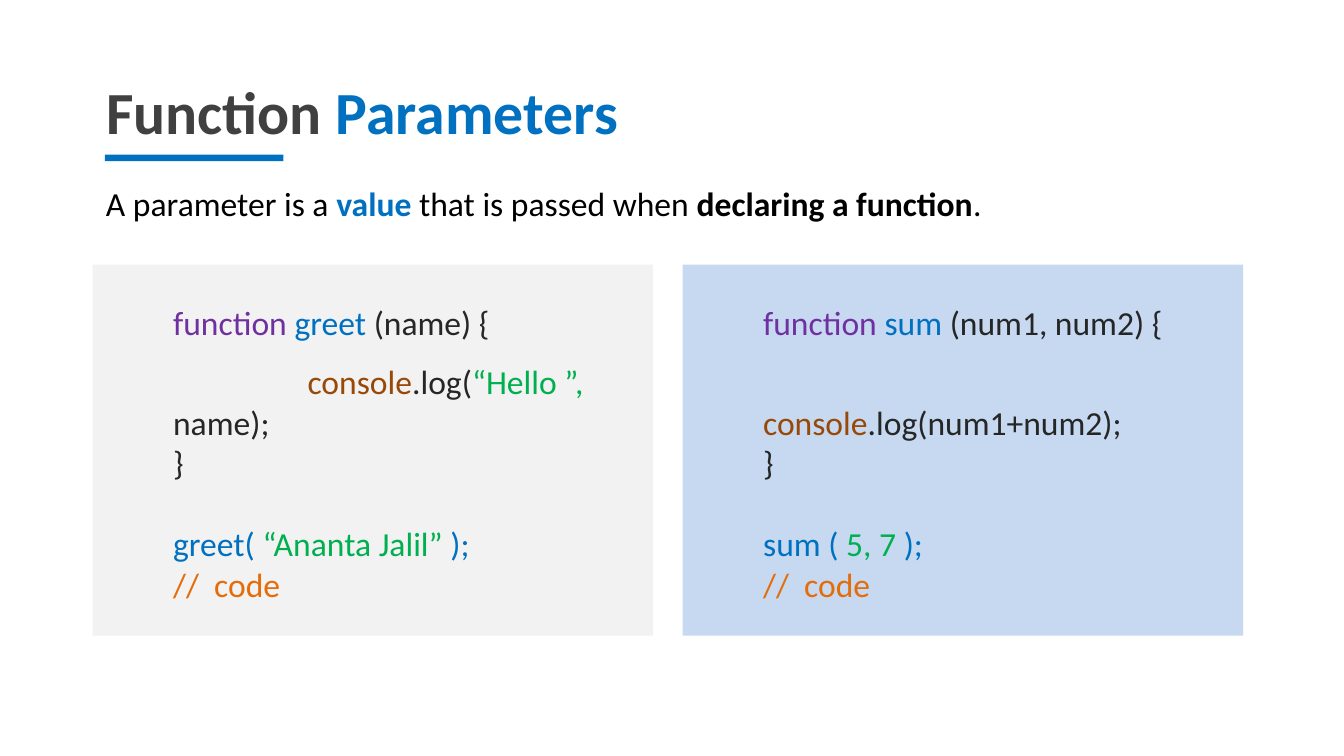
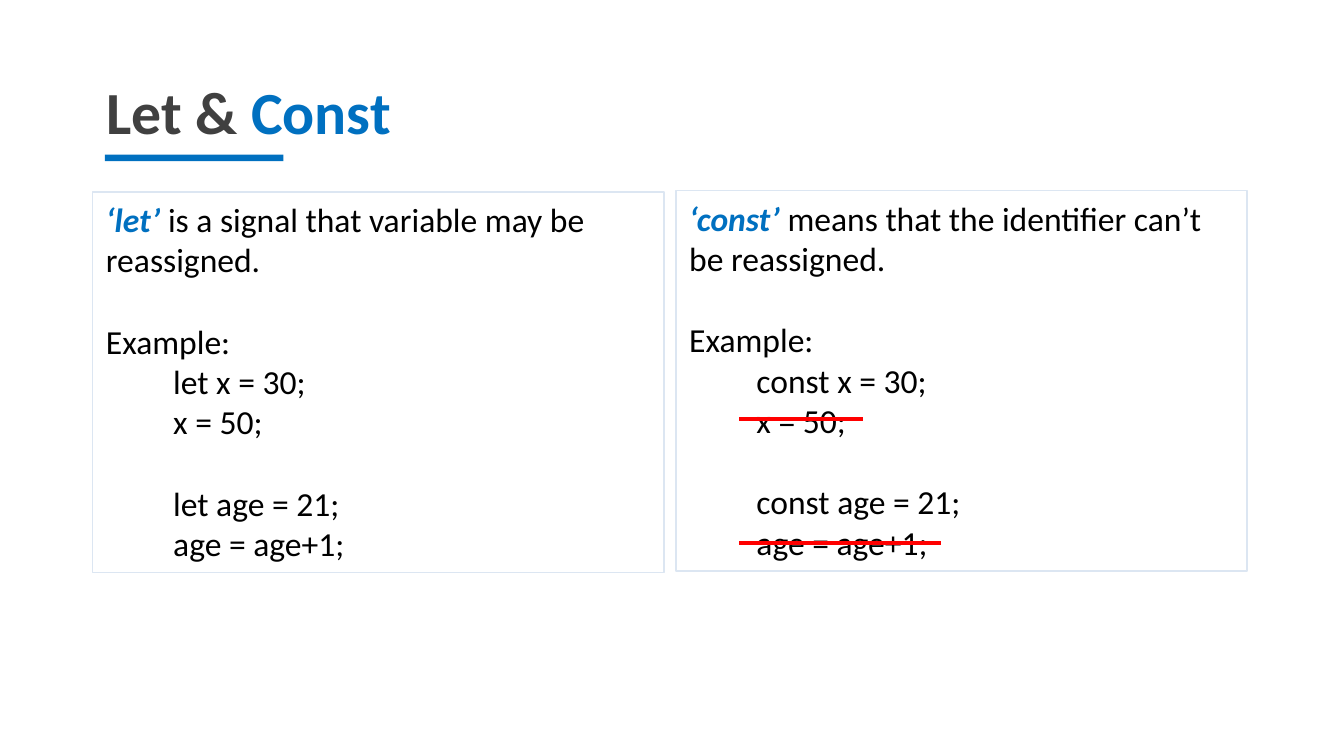
"""Build two slides on JavaScript function parameters and on let and const."""
from dataclasses import dataclass

from lxml.etree import SubElement
from pptx import Presentation
from pptx.dml.color import RGBColor
from pptx.enum.shapes import MSO_CONNECTOR as Connector, MSO_SHAPE as ShapeType
from pptx.enum.text import MSO_ANCHOR as Anchor, MSO_AUTO_SIZE as AutoSize, PP_ALIGN as Align
from pptx.oxml.ns import qn
from pptx.shapes.base import BaseShape
from pptx.slide import Slide
from pptx.text.text import TextFrame
from pptx.util import Inches, Pt


@dataclass(frozen=True)
class Theme:
    font: str = "Calibri"
    title_size: int = 32
    body_size: int = 18
    heading: str = "404040"
    accent: str = "0070C0"
    text: str = "000000"
    code: str = "262626"
    keyword: str = "7030A0"
    console: str = "984807"
    literal: str = "00B050"
    comment: str = "E46C0A"
    grey_panel: str = "F2F2F2"
    blue_panel: str = "C6D9F1"
    outline: str = "DCE6F2"
    strike: str = "FF0000"


THEME = Theme()
TITLE_ONLY = 5
SLIDE_WIDTH = 10
LEFT = 0.69
BLANK_LINE = 22
CODE_GAP = 10


@dataclass(frozen=True)
class Span:
    text: str
    color: str = THEME.text
    bold: bool = False
    italic: bool = False


@dataclass(frozen=True)
class Line:
    spans: tuple[Span, ...]
    level: int = 0
    before: int = 0


@dataclass(frozen=True)
class Panel:
    left: float
    top: float
    width: float
    height: float
    lines: tuple[Line, ...]
    fill: str | None = None
    outline: str | None = None
    inset_top: float = 0.05


def rgb(color: str) -> RGBColor:
    """Turn a hex string into a colour."""
    return RGBColor.from_string(color)


def write(frame: TextFrame, lines: tuple[Line, ...], size: int = THEME.body_size) -> None:
    """Write styled lines into a text frame."""
    frame.word_wrap = True
    frame.auto_size = AutoSize.NONE
    for index, line in enumerate(lines):
        paragraph = frame.add_paragraph() if index else frame.paragraphs[0]
        paragraph.alignment = Align.LEFT
        paragraph.space_before = Pt(line.before)
        if line.level:
            paragraph.level = line.level
            properties = paragraph._p.get_or_add_pPr()
            properties.set("marL", str(Inches(0.5 * line.level)))
            properties.set("indent", "0")
            properties.set("defTabSz", str(Inches(1)))
        paragraph.font.name = THEME.font
        paragraph.font.size = Pt(size)
        for span in line.spans:
            run = paragraph.add_run()
            run.text = span.text
            run.font.color.rgb = rgb(span.color)
            run.font.bold = span.bold
            run.font.italic = span.italic


def add_rectangle(slide: Slide, left: float, top: float, width: float, height: float,
                  fill: str | None = None, outline: str | None = None) -> BaseShape:
    """Add a flat rectangle with an optional fill and outline."""
    shape = slide.shapes.add_shape(ShapeType.RECTANGLE, Inches(left), Inches(top),
                                   Inches(width), Inches(height))
    shape.shadow.inherit = False
    if fill:
        shape.fill.solid()
        shape.fill.fore_color.rgb = rgb(fill)
    else:
        shape.fill.background()
    if outline:
        shape.line.color.rgb = rgb(outline)
        shape.line.width = Pt(0.75)
    else:
        shape.line.fill.background()
    return shape


def add_titled_slide(presentation: Presentation, dark: str, accent: str) -> Slide:
    """Add a slide with a two-colour title and its underline."""
    slide = presentation.slides.add_slide(presentation.slide_layouts[TITLE_ONLY])
    title = slide.shapes.title
    title.left, title.top = Inches(LEFT), Inches(0.51)
    title.width, title.height = Inches(8.33), Inches(0.64)
    title.text_frame.vertical_anchor = Anchor.TOP
    spans = (Span(dark, THEME.heading, True), Span(accent, THEME.accent, True))
    write(title.text_frame, (Line(spans),), THEME.title_size)
    add_rectangle(slide, 0.78, 1.15, 1.33, 0.05, fill=THEME.accent)
    return slide


def add_panel(slide: Slide, panel: Panel) -> None:
    """Add a rectangle holding lines of text."""
    shape = add_rectangle(slide, panel.left, panel.top, panel.width, panel.height,
                          panel.fill, panel.outline)
    shape.text_frame.vertical_anchor = Anchor.TOP
    shape.text_frame.margin_top = Inches(panel.inset_top)
    write(shape.text_frame, panel.lines)


def add_strike(slide: Slide, left: float, right: float, top: float) -> None:
    """Strike out a statement with a red line."""
    line = slide.shapes.add_connector(Connector.STRAIGHT, Inches(left), Inches(top),
                                      Inches(right), Inches(top))
    line.line.color.rgb = rgb(THEME.strike)
    line.line.width = Pt(2.25)
    SubElement(line._element.spPr, qn("a:effectLst"))


def function_lines(name: str, parameters: str, log_arguments: tuple[Span, ...],
                   call: str, values: str) -> tuple[Line, ...]:
    """Compose the declaration and the call of a function."""
    return (
        Line((Span("function ", THEME.keyword), Span(f"{name} ", THEME.accent),
              Span(f"({parameters}) {{", THEME.code)), 1),
        Line((Span(" \t", THEME.code), Span("console", THEME.console),
              Span(".log(", THEME.code), *log_arguments), 1, CODE_GAP),
        Line((Span("}", THEME.code),), 1),
        Line((Span(call, THEME.accent), Span(values, THEME.literal),
              Span(");", THEME.accent)), 1, BLANK_LINE),
        Line((Span("//  code", THEME.comment),), 1),
    )


def keyword_lines(keyword: str, meaning: str) -> tuple[Line, ...]:
    """Compose the meaning and the example of a declaration keyword."""
    return (
        Line((Span(f"‘{keyword}’ ", THEME.accent, True, True), Span(meaning))),
        Line((Span("Example:"),), before=BLANK_LINE),
        Line((Span(f"{keyword} x = 30;"),), 1),
        Line((Span("x = 50;"),), 1),
        Line((Span(f"{keyword} age = 21;"),), 1, BLANK_LINE),
        Line((Span("age = age+1;"),), 1),
    )


def build_parameters(presentation: Presentation) -> None:
    """Build the slide on function parameters."""
    slide = add_titled_slide(presentation, "Function", " Parameters")
    intro = slide.shapes.add_textbox(Inches(LEFT), Inches(1.31), Inches(8.08), Inches(0.4))
    write(intro.text_frame, (Line((
        Span("A parameter is a "), Span("value", THEME.accent, True),
        Span(" that is passed when "), Span("declaring a function", bold=True), Span("."),
    )),))
    greet = function_lines("greet", "name", (Span("“Hello ”, ", THEME.literal),
                           Span("name);", THEME.code)), "greet( ", "“Ananta Jalil” ")
    total = function_lines("sum", "num1, num2", (Span("num1+num2);", THEME.code),),
                           "sum ( ", "5, 7 ")
    panels = ((greet, THEME.grey_panel), (total, THEME.blue_panel))
    for column, (lines, fill) in enumerate(panels):
        add_panel(slide, Panel(LEFT + 4.39 * column, 1.97, 4.17, 2.76, lines,
                               fill=fill, inset_top=0.28))


def build_let_const(presentation: Presentation) -> None:
    """Build the slide on let and const."""
    slide = add_titled_slide(presentation, "Let & ", "Const")
    let = keyword_lines("let", "is a signal that variable may be reassigned.")
    const = keyword_lines("const", "means that the identifier can’t be reassigned.")
    for left, top, lines in ((LEFT, 1.43, let), (5.03, 1.42, const)):
        add_panel(slide, Panel(left, top, 4.25, 2.83, lines, outline=THEME.outline))
    for right, top in ((6.42, 3.12), (7, 4.04)):
        add_strike(slide, 5.5, right, top)


def main() -> None:
    """Build and save the presentation."""
    presentation = Presentation()
    presentation.slide_width = Inches(SLIDE_WIDTH)
    presentation.slide_height = Inches(SLIDE_WIDTH * 9 / 16)
    build_parameters(presentation)
    build_let_const(presentation)
    presentation.save("out.pptx")


if __name__ == "__main__":
    main()
